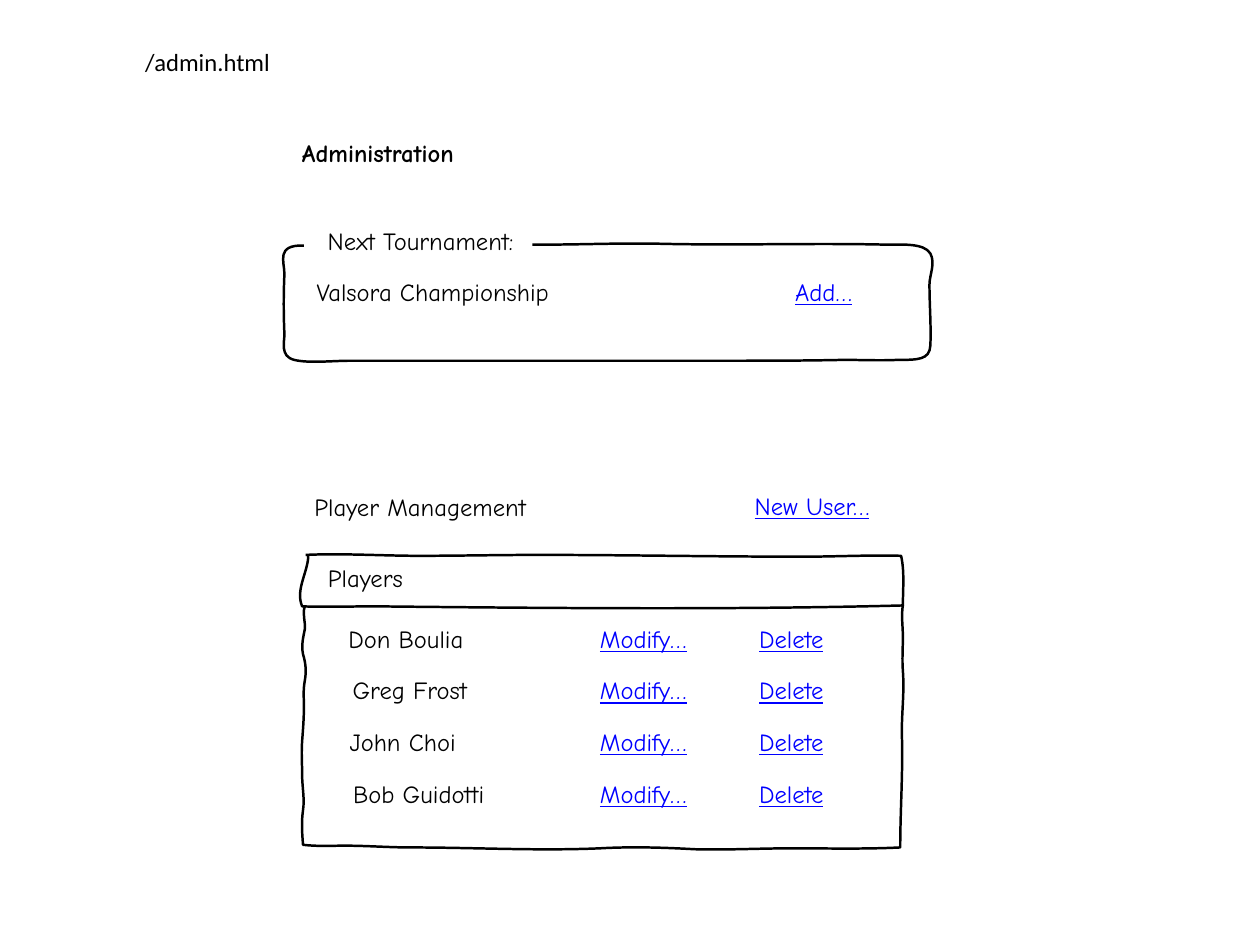
from lxml.etree import SubElement
from pptx import Presentation
from pptx.dml.color import RGBColor
from pptx.enum.text import MSO_ANCHOR as Anchor, MSO_AUTO_SIZE as Fit, PP_ALIGN as Align
from pptx.oxml.ns import qn
from pptx.util import Pt

PX = 9144  # 100 px to the inch
WIDTH, HEIGHT = 1422, 1066
BLACK, WHITE, BLUE = "000000", "FFFFFF", "0000FF"
HAND, PLAIN = "Comic Neue", "Calibri"

# Hand-drawn outlines: a start point, then three points for each curve
EVENT = [
    (475, 275),
    (521, 279), (567, 276), (612, 276), (657, 276), (701, 274), (745, 275),
    (830, 277), (915, 274), (999, 276), (1018, 276), (1043, 274), (1050, 286),
    (1056, 297), (1049, 310), (1049, 321), (1049, 344), (1051, 368), (1050, 390),
    (1049, 406), (1036, 406), (1013, 406), (993, 407), (973, 406), (952, 406),
    (907, 407), (861, 407), (816, 407), (675, 407), (535, 407), (394, 407),
    (376, 407), (348, 410), (332, 406), (316, 402), (321, 386), (321, 377),
    (320, 354), (320, 332), (321, 309), (321, 295), (311, 276), (343, 277),
]
ROSTER = [
    (340, 682),
    (390, 682), (438, 682), (488, 679), (559, 676), (633, 682), (705, 683),
    (763, 685), (822, 686), (880, 682), (907, 679), (935, 682), (962, 682),
    (980, 682), (1002, 679), (1019, 683), (1017, 694), (1019, 707), (1019, 718),
    (1019, 732), (1018, 744), (1019, 757), (1021, 783), (1017, 808), (1018, 833),
    (1019, 874), (1016, 915), (1016, 956), (975, 958), (935, 957), (894, 957),
    (857, 957), (821, 959), (784, 958), (748, 956), (712, 955), (677, 957),
    (606, 960), (535, 956), (464, 956), (439, 956), (414, 954), (389, 954),
    (374, 954), (358, 955), (342, 953), (341, 940), (340, 928), (342, 914),
    (344, 901), (341, 888), (341, 874), (341, 861), (340, 849), (341, 836),
    (342, 823), (343, 810), (343, 797), (343, 787), (342, 779), (344, 768),
    (346, 757), (345, 748), (342, 738), (340, 728), (342, 720), (344, 710),
    (345, 701), (341, 693), (344, 684),
]
HEADER = [
    (345, 626),
    (386, 624), (432, 627), (473, 627), (517, 627), (563, 626), (608, 626),
    (708, 626), (805, 628), (906, 628), (942, 628), (980, 626), (1017, 627),
    (1021, 645), (1019, 664), (1019, 683), (825, 688), (619, 686), (424, 684),
    (396, 684), (369, 685), (341, 684), (333, 665), (348, 645), (348, 626),
]

# Text, left, top, width
HEADINGS = [
    ("/admin.html", 154, 48, 181, {"face": PLAIN}),
    ("Administration", 331, 151, 192, {"bold": True}),
    ("Next Tournament:", 360, 250, 241, {"fill": WHITE}),
    ("Player Management", 345, 550, 259, {}),
]
LABELS = [("Players", 361, 631, 103), ("Valsora Championship", 350, 308, 277)]
LINKS = [("Add…", 893, 308, 73), ("New User…", 846, 549, 141)]

# Name, left, width
PLAYERS = [
    ("Don Boulia", 389, 138),
    ("Greg Frost", 393, 139),
    ("John Choi", 390, 129),
    ("Bob Guidotti", 394, 157),
]
ACTIONS = [("Modify…", 673, 106), ("Delete", 852, 82)]
ROW_TOP, ROW_LAST = 699, 874


def color(code):
    return RGBColor.from_string(code)


def bend(shape):
    """Turn each three line segments into one cubic curve."""
    lines = list(shape.element.iter(qn("a:lnTo")))
    track = lines[0].getparent()
    for i in range(0, len(lines), 3):
        curve = SubElement(track, qn("a:cubicBezTo"))
        for line in lines[i:i + 3]:
            curve.append(line[0])
            track.remove(line)


def sketch(slide, points):
    pen = slide.shapes.build_freeform(*points[0], scale=PX)
    pen.add_line_segments(points[1:], close=False)
    shape = pen.convert_to_shape()
    bend(shape)
    shape.shadow.inherit = False
    shape.fill.solid()
    shape.fill.fore_color.rgb = color(WHITE)
    shape.line.color.rgb = color(BLACK)
    shape.line.width = Pt(2)


def write(slide, text, left, top, width, height=42, face=HAND, bold=False,
          link=False, fill=None, center=True):
    box = slide.shapes.add_textbox(left * PX, round(top * PX), width * PX, height * PX)
    if fill:
        box.fill.solid()
        box.fill.fore_color.rgb = color(fill)
    frame = box.text_frame
    frame.word_wrap = False
    frame.auto_size = Fit.SHAPE_TO_FIT_TEXT
    side, edge = (4, 4) if center else (10, 5)
    frame.margin_left = frame.margin_right = side * PX
    frame.margin_top = frame.margin_bottom = edge * PX
    frame.vertical_anchor = Anchor.MIDDLE if center else Anchor.TOP
    para = frame.paragraphs[0]
    para.alignment = Align.CENTER if center else Align.LEFT
    run = para.add_run()
    run.text = text
    font = run.font
    font.name, font.size, font.bold = face, Pt(20), bold
    font.underline = link
    font.color.rgb = color(BLUE if link else BLACK)


def main():
    deck = Presentation()
    deck.slide_width, deck.slide_height = WIDTH * PX, HEIGHT * PX
    slide = deck.slides.add_slide(deck.slide_layouts[6])

    for outline in (EVENT, ROSTER, HEADER):
        sketch(slide, outline)
    for *item, style in HEADINGS:
        write(slide, *item, height=44, center=False, **style)
    for item in LABELS:
        write(slide, *item)
    for item in LINKS:
        write(slide, *item, link=True)

    pitch = (ROW_LAST - ROW_TOP) / (len(PLAYERS) - 1)
    for i, (name, left, width) in enumerate(PLAYERS):
        top = ROW_TOP + i * pitch
        write(slide, name, left, top, width)
        for action, x, span in ACTIONS:
            write(slide, action, x, top, span, link=True)

    deck.save("out.pptx")


if __name__ == "__main__":
    main()
